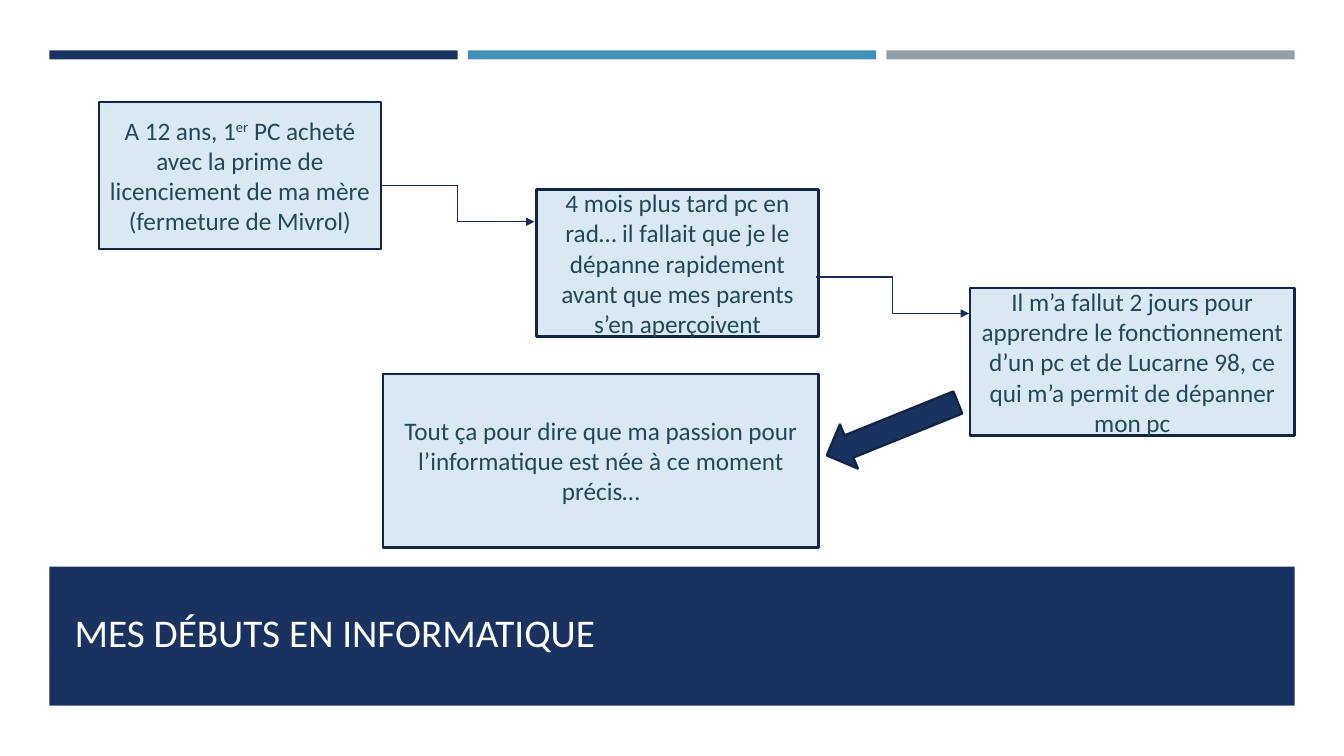
"""Build a slide telling, step by step, how a passion for computing began."""
from dataclasses import dataclass

from lxml import etree
from pptx import Presentation
from pptx.dml.color import RGBColor
from pptx.enum import shapes, text
from pptx.oxml import ns
from pptx.util import Inches, Pt


@dataclass(frozen=True)
class Theme:
    font: str = "Calibri"
    navy: str = "1A3260"
    blue: str = "4590B8"
    grey: str = "969FA7"
    white: str = "FFFFFF"
    title_text: str = "FFFEFF"
    box_fill: str = "DAE9F1"
    box_line: str = "132547"
    box_text: str = "23485C"
    connector: str = "172D56"
    title_size: int = 28
    box_size: int = 18
    box_line_width: float = 1.75
    connector_width: float = 1


THEME = Theme()
TITLE = "MES DÉBUTS EN INFORMATIQUE"
TITLE_AREA = (0.64, 5.76, 12.06, 0.79)
PANEL = (0, 0.59, 13.33, 6.91)
BANNER = (0.49, 5.62, 12.35, 1.38)
BAR_COLORS = (THEME.navy, THEME.blue, THEME.grey)
BAR_LEFT, BAR_TOP, BAR_WIDTH, BAR_HEIGHT, BAR_STEP = 0.49, 0.5, 4.05, 0.1, 4.15
SUPERSCRIPT = "er"
STEPS = [
    ((3.8, 3.71, 4.32, 1.72),
     ["Tout ça pour dire que ma passion pour l’informatique est née à ce moment précis…"]),
    ((0.98, 1.01, 2.8, 1.46),
     ["A 12 ans, 1", SUPERSCRIPT,
      " PC acheté avec la prime de licenciement de ma mère (fermeture de Mivrol)"]),
    ((5.32, 1.88, 2.8, 1.46),
     ["4 mois plus tard pc en rad… il fallait que je le dépanne rapidement "
      "avant que mes parents s’en aperçoivent"]),
    ((9.62, 2.86, 3.22, 1.46),
     ["Il m’a fallut 2 jours pour apprendre le fonctionnement d’un pc et de "
      "Lucarne 98, ce qui m’a permit de dépanner mon pc"]),
]
CONNECTOR_STARTS = [(3.78, 1.84), (8.09, 2.75)]
CONNECTOR_SPAN = (1.52, 0.36)
ARROW, ARROW_ANGLE = (8.15, 4.02, 1.4, 0.47), 158


def color(value):
    return RGBColor.from_string(value)


def add_block(slide, area, fill, line=None, kind=shapes.MSO_SHAPE.RECTANGLE):
    shape = slide.shapes.add_shape(kind, *map(Inches, area))
    shape.shadow.inherit = False
    shape.fill.solid()
    shape.fill.fore_color.rgb = color(fill)
    if line:
        shape.line.color.rgb = color(line)
        shape.line.width = Pt(THEME.box_line_width)
    else:
        shape.line.fill.background()
    return shape


def style_paragraph(paragraph, size, fill, alignment):
    paragraph.alignment = alignment
    paragraph.font.name = THEME.font
    paragraph.font.size = Pt(size)
    paragraph.font.color.rgb = color(fill)


def add_step(slide, area, pieces):
    frame = add_block(slide, area, THEME.box_fill, THEME.box_line).text_frame
    frame.word_wrap = True
    frame.vertical_anchor = text.MSO_ANCHOR.MIDDLE
    paragraph = frame.paragraphs[0]
    style_paragraph(paragraph, THEME.box_size, THEME.box_text, text.PP_ALIGN.CENTER)
    for piece in pieces:
        run = paragraph.add_run()
        run.text = piece
        if piece == SUPERSCRIPT:
            run._r.get_or_add_rPr().set("baseline", "30000")


def add_bent_arrow(slide, left, top):
    width, height = CONNECTOR_SPAN
    connector = slide.shapes.add_connector(
        shapes.MSO_CONNECTOR.ELBOW,
        *map(Inches, (left, top, left + width, top + height)))
    connector.line.color.rgb = color(THEME.connector)
    connector.line.width = Pt(THEME.connector_width)
    properties = connector._element.spPr
    etree.SubElement(connector.line._get_or_add_ln(), ns.qn("a:tailEnd"), type="triangle")
    etree.SubElement(properties, ns.qn("a:effectLst"))


def add_title(slide):
    title = slide.shapes.title
    title.left, title.top, title.width, title.height = map(Inches, TITLE_AREA)
    frame = title.text_frame
    frame.text = TITLE
    frame.auto_size = text.MSO_AUTO_SIZE.NONE
    frame.vertical_anchor = text.MSO_ANCHOR.BOTTOM
    style_paragraph(frame.paragraphs[0], THEME.title_size, THEME.title_text,
                    text.PP_ALIGN.LEFT)
    slide.shapes._spTree.append(title._element)


def main():
    presentation = Presentation()
    presentation.slide_width, presentation.slide_height = Inches(13.33), Inches(7.5)
    slide = presentation.slides.add_slide(presentation.slide_layouts[5])
    for index, fill in enumerate(BAR_COLORS):
        left = BAR_LEFT + index * BAR_STEP
        add_block(slide, (left, BAR_TOP, BAR_WIDTH, BAR_HEIGHT), fill)
    add_block(slide, PANEL, THEME.white)
    add_block(slide, BANNER, THEME.navy)
    add_title(slide)
    for area, pieces in STEPS:
        add_step(slide, area, pieces)
    for left, top in CONNECTOR_STARTS:
        add_bent_arrow(slide, left, top)
    arrow = add_block(slide, ARROW, THEME.navy, THEME.box_line,
                      shapes.MSO_SHAPE.RIGHT_ARROW)
    arrow.rotation = ARROW_ANGLE
    presentation.save("out.pptx")


if __name__ == "__main__":
    main()
